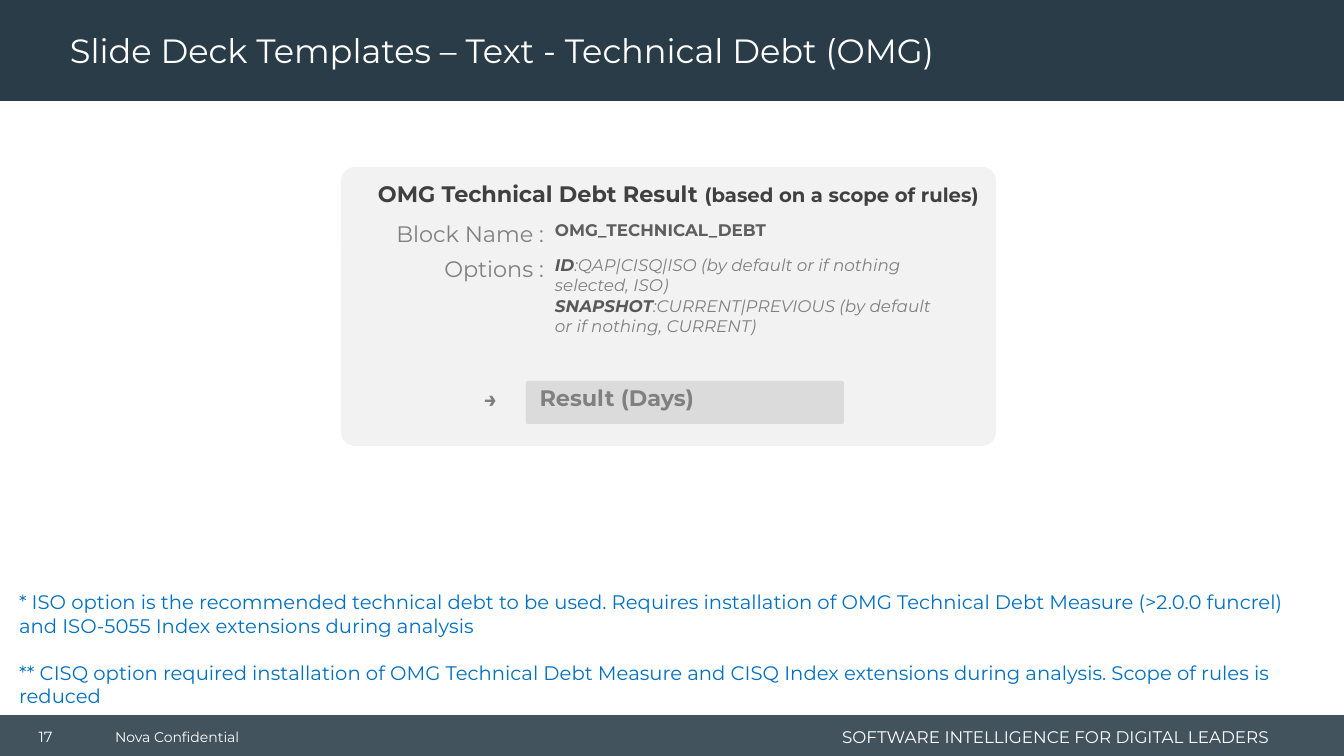
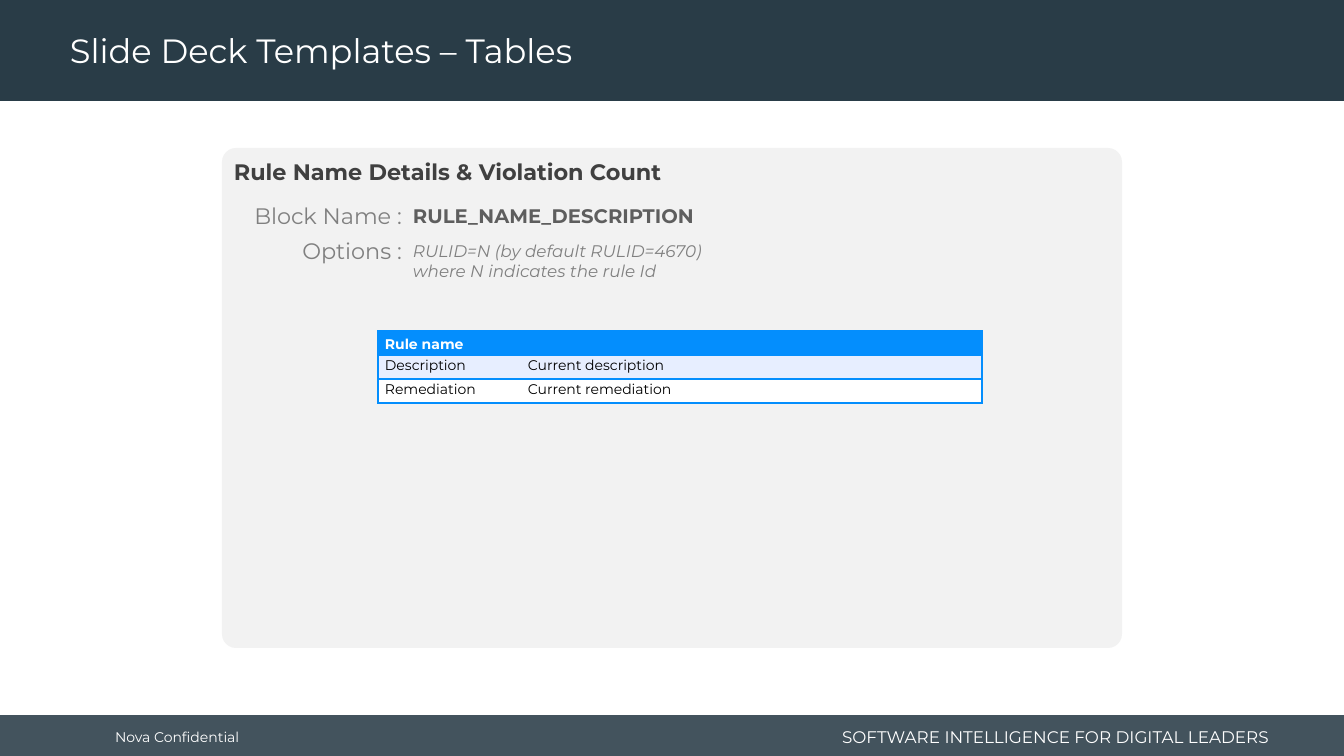
from dataclasses import dataclass, replace

from pptx import Presentation
from pptx.dml.color import RGBColor
from pptx.enum.shapes import MSO_SHAPE as Shape
from pptx.enum.text import MSO_ANCHOR as Anchor, PP_ALIGN as Align
from pptx.oxml.ns import qn
from pptx.util import Pt
from lxml.etree import SubElement

EMU_PER_PX = 914400 / 100.8
SLIDE_W, SLIDE_H = 1344, 756
FONT = "Montserrat"

NAVY = RGBColor(0x29, 0x3C, 0x47)
WHITE = RGBColor(0xFF, 0xFF, 0xFF)
BLACK = RGBColor(0x00, 0x00, 0x00)
CARD_GREY = RGBColor(0xF2, 0xF2, 0xF2)
RESULT_GREY = RGBColor(0xBF, 0xBF, 0xBF)
HEADING_GREY = RGBColor(0x40, 0x40, 0x40)
NAME_GREY = RGBColor(0x5E, 0x5E, 0x5E)
KEY_GREY = RGBColor(0x59, 0x59, 0x59)
TEXT_GREY = RGBColor(0x80, 0x80, 0x80)
NOTE_BLUE = RGBColor(0x00, 0x70, 0xC0)
TABLE_BLUE = RGBColor(0x04, 0x8E, 0xFD)
ROW_BLUE = RGBColor(0xE7, 0xEE, 0xFF)


@dataclass(frozen=True)
class Style:
    size: float
    color: RGBColor
    bold: bool = False
    italic: bool = False


TITLE = Style(24, WHITE)
HEADING = Style(16, HEADING_GREY, bold=True)
LABEL = Style(16, TEXT_GREY)
RESULT = replace(LABEL, bold=True)
OPTION = Style(12, TEXT_GREY, italic=True)
OPTION_KEY = replace(OPTION, color=KEY_GREY, bold=True)
NOTE = Style(14, NOTE_BLUE)
TABLE_HEAD = Style(10, WHITE, bold=True)
TABLE_BODY = Style(10, BLACK)


def px(length):
    return round(length * EMU_PER_PX)


def format_run(run, style):
    font = run.font
    font.name, font.size = FONT, Pt(style.size)
    font.bold, font.italic = style.bold, style.italic
    font.color.rgb = style.color


def fill_frame(frame, paragraphs, align=Align.LEFT, spacing=None, gap=0):
    """Write paragraphs, each a list of (text, style) runs."""
    for index, runs in enumerate(paragraphs):
        paragraph = frame.add_paragraph() if index else frame.paragraphs[0]
        paragraph.alignment = align
        if spacing:
            paragraph.line_spacing = spacing
        if index and gap:
            paragraph.space_before = Pt(gap)
        for text, style in runs:
            run = paragraph.add_run()
            run.text = text
            format_run(run, style)


def add_text(slide, box, paragraphs, anchor=Anchor.TOP, wrap=True, inset=10, **layout):
    frame = slide.shapes.add_textbox(*map(px, box)).text_frame
    frame.word_wrap = wrap
    frame.vertical_anchor = anchor
    frame.margin_left = frame.margin_right = px(inset)
    fill_frame(frame, paragraphs, **layout)


def add_panel(slide, box, color, radius=0, opacity=100):
    """Add a plain filled rectangle, rounded when a radius is given."""
    kind = Shape.ROUNDED_RECTANGLE if radius else Shape.RECTANGLE
    panel = slide.shapes.add_shape(kind, *map(px, box))
    if radius:
        panel.adjustments[0] = radius / min(box[2:])
    panel.shadow.inherit = False
    panel.line.fill.background()
    panel.fill.solid()
    panel.fill.fore_color.rgb = color
    if opacity < 100:
        color_node = panel.fill._xPr.find(".//" + qn("a:srgbClr"))
        SubElement(color_node, qn("a:alpha")).set("val", str(opacity * 1000))
    return panel


def add_slide(deck, title, number=None):
    """Add a slide with the shared title band and footer."""
    slide = deck.slides.add_slide(deck.slide_layouts[6])
    footer_top = 715
    add_panel(slide, (0, footer_top, SLIDE_W, SLIDE_H - footer_top), NAVY, opacity=88)
    add_panel(slide, (0, 0, SLIDE_W, 101), NAVY)
    add_text(slide, (105, 717, 149, 40), [[("Nova Confidential", Style(10, WHITE))]],
             Anchor.MIDDLE, wrap=False)
    add_text(slide, (817, 721, 462, 32),
             [[("SOFTWARE INTELLIGENCE FOR DIGITAL LEADERS", Style(12, WHITE))]],
             Anchor.MIDDLE, align=Align.RIGHT)
    if number:
        add_text(slide, (9, 717, 73, 40), [[(number, Style(10.5, WHITE))]],
                 Anchor.MIDDLE, align=Align.CENTER)
    add_text(slide, (60, 4, 966, 97), [[(title, TITLE)]], Anchor.MIDDLE, spacing=0.9)
    return slide


def add_card(slide, box, heading_box, heading):
    add_panel(slide, box, CARD_GREY, radius=14)
    add_text(slide, heading_box, [heading], inset=20)


def add_block_fields(slide, label_top, name_box, name, name_size, options_box, options):
    """Add the block name and options, with their labels to the left."""
    value_left = name_box[0]
    labels = (("Block Name :", 168), ("Options :", 122))
    for row, (label, width) in enumerate(labels):
        box = (value_left + 9 - width, label_top + 35 * row, width, 37)
        add_text(slide, box, [[(label, LABEL)]], wrap=False, align=Align.RIGHT)
    add_text(slide, name_box, [[(name, Style(name_size, NAME_GREY, bold=True))]])
    add_text(slide, options_box, options)


def add_result(slide):
    add_text(slide, (474, 380, 48, 44), [[("→", RESULT)]])
    frame = add_panel(slide, (526, 381, 318, 43), RESULT_GREY, 2, opacity=45).text_frame
    frame.vertical_anchor = Anchor.TOP
    frame.margin_left, frame.margin_top = px(13), px(3)
    fill_frame(frame, [[("Result (Days)", RESULT)]])


def set_borders(cell, sides):
    """Draw the given sides (L, R, T, B) and hide the others."""
    properties = cell._tc.get_or_add_tcPr()
    for index, side in enumerate("LRTB"):
        line = properties.makeelement(qn(f"a:ln{side}"), {"w": str(Pt(1))})
        if side in sides:
            solid = SubElement(line, qn("a:solidFill"))
            SubElement(solid, qn("a:srgbClr")).set("val", str(TABLE_BLUE))
        else:
            SubElement(line, qn("a:noFill"))
        properties.insert(index, line)


def add_rule_table(slide, left, top, widths, row_height, rows):
    frame = slide.shapes.add_table(len(rows), len(widths), px(left), px(top),
                                   px(sum(widths)), px(row_height * len(rows)))
    table = frame.table
    for column, width in zip(table.columns, widths):
        column.width = px(width)
    fills = (TABLE_BLUE, ROW_BLUE, WHITE)
    for r, (texts, fill) in enumerate(zip(rows, fills)):
        table.rows[r].height = px(row_height)
        for c, text in enumerate(texts):
            cell = table.cell(r, c)
            cell.margin_left = cell.margin_right = px(7)
            cell.margin_top = cell.margin_bottom = 0
            cell.vertical_anchor = Anchor.TOP if r else Anchor.MIDDLE
            cell.fill.solid()
            cell.fill.fore_color.rgb = fill
            style = TABLE_BODY if r else TABLE_HEAD
            fill_frame(cell.text_frame, [[(text, style)]] if text else [], spacing=1.15)
            outer_side = "R" if c else "L"
            set_borders(cell, "TB" + outer_side if r else "LRTB")
    table.cell(0, 0).merge(table.cell(0, len(widths) - 1))


def build_technical_debt(deck):
    slide = add_slide(deck, "Slide Deck Templates – Text - Technical Debt (OMG)", "17")
    add_card(slide, (341, 167, 655, 279), (358, 175, 720, 37),
             [("OMG Technical Debt Result ", HEADING),
              ("(based on a scope of rules)", replace(HEADING, size=14))])
    add_block_fields(
        slide, 215, (545, 215, 363, 30), "OMG_TECHNICAL_DEBT", 12, (545, 250, 408, 92),
        [[("ID", OPTION_KEY),
          (":QAP|CISQ|ISO (by default or if nothing selected, ISO)", OPTION)],
         [("SNAPSHOT", OPTION_KEY),
          (":CURRENT|PREVIOUS (by default or if nothing, CURRENT)", OPTION)]])
    add_result(slide)
    notes = (
        "* ISO option is the recommended technical debt to be used. Requires installation of "
        "OMG Technical Debt Measure (>2.0.0 funcrel) and ISO-5055 Index extensions during analysis",
        "** CISQ option required installation of OMG Technical Debt Measure and CISQ Index "
        "extensions during analysis. Scope of rules is reduced",
    )
    add_text(slide, (9, 585, 1316, 94), [[(note, NOTE)] for note in notes], gap=17)


def build_rule_details(deck):
    slide = add_slide(deck, "Slide Deck Templates – Tables")
    add_card(slide, (222, 148, 900, 500), (214, 153, 898, 37),
             [("Rule Name Details & Violation Count", HEADING)])
    add_block_fields(
        slide, 197, (403, 199, 731, 34), "RULE_NAME_DESCRIPTION", 14, (403, 236, 731, 50),
        [[("RULID=N (by default RULID=4670)", OPTION)],
         [("where N indicates the rule Id", OPTION)]])
    add_rule_table(slide, 378, 331, (143, 461), 24,
                   [("Rule name", ""),
                    ("Description", "Current description"),
                    ("Remediation", "Current remediation")])


def main():
    deck = Presentation()
    deck.slide_width, deck.slide_height = px(SLIDE_W), px(SLIDE_H)
    build_technical_debt(deck)
    build_rule_details(deck)
    deck.save("out.pptx")


if __name__ == "__main__":
    main()
